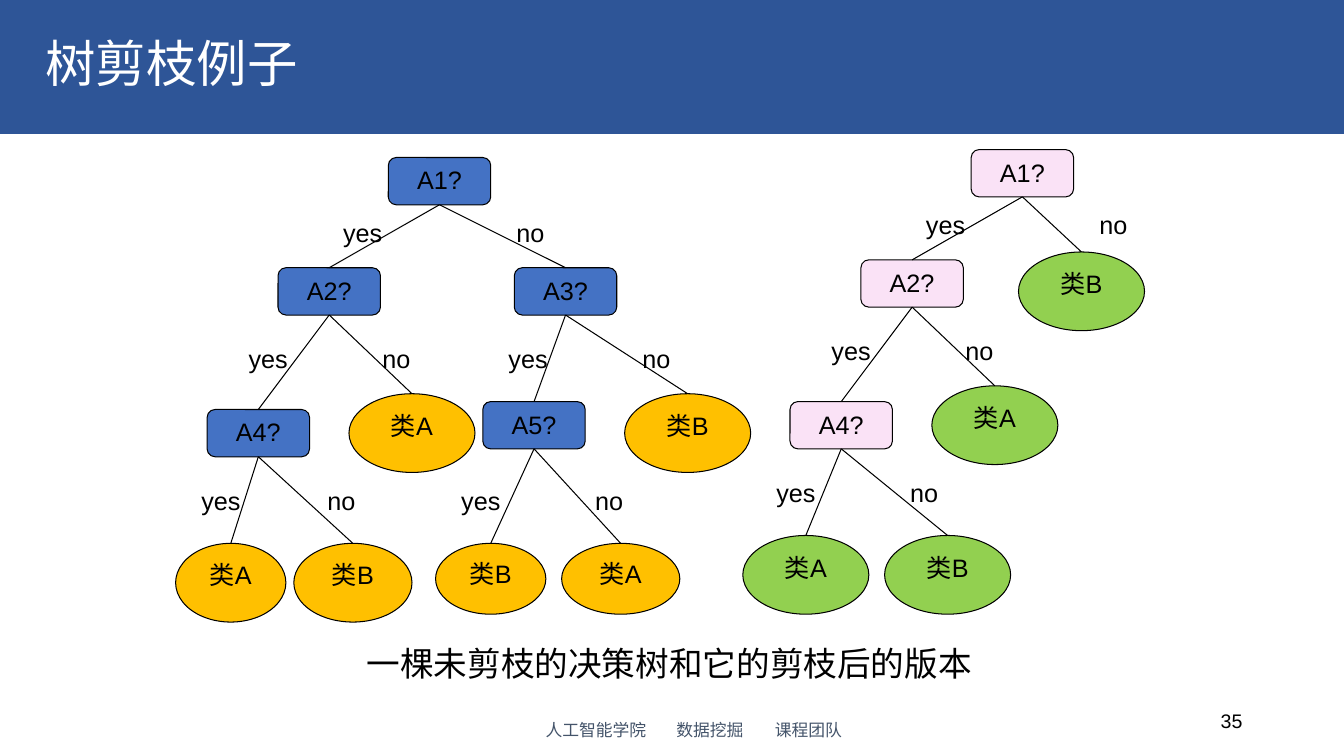
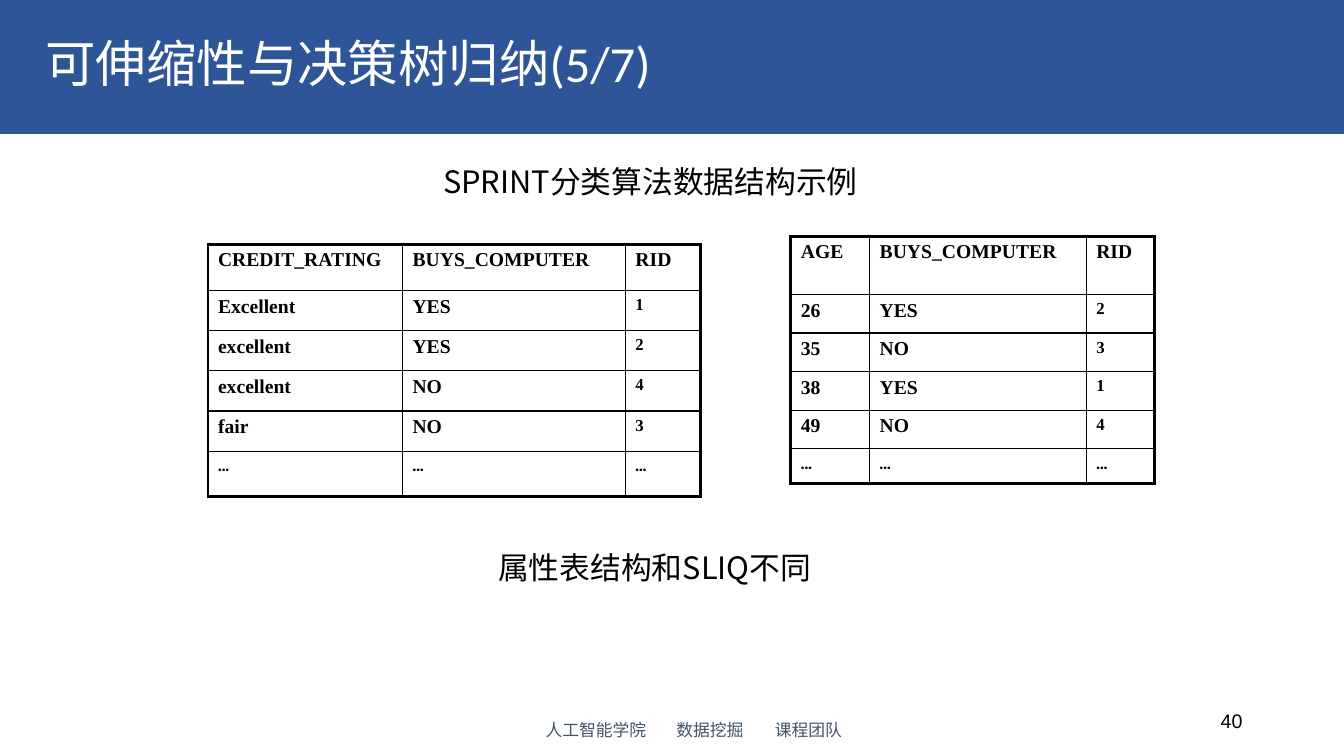
from collections import namedtuple

from lxml.etree import SubElement
from pptx import Presentation
from pptx.dml.color import RGBColor
from pptx.enum.shapes import MSO_CONNECTOR, MSO_SHAPE
from pptx.enum.text import MSO_ANCHOR, PP_ALIGN
from pptx.oxml.ns import qn
from pptx.util import Inches, Pt

BLACK = RGBColor(0x00, 0x00, 0x00)
WHITE = RGBColor(0xFF, 0xFF, 0xFF)
BAND_BLUE = RGBColor(0x2E, 0x55, 0x97)
NODE_BLUE = RGBColor(0x44, 0x72, 0xC4)
NODE_PINK = RGBColor(0xFA, 0xE2, 0xF6)
LEAF_ORANGE = RGBColor(0xFF, 0xC0, 0x00)
LEAF_GREEN = RGBColor(0x92, 0xD0, 0x50)
SLATE = RGBColor(0x44, 0x54, 0x6A)

SANS = "Arial"
HEADING = "Calibri"
CHINESE = "Noto Sans CJK SC"
SERIF = "Times New Roman"
ELLIPSIS_FONT = "Karla"

GRID_ROWS = 96
FOOTER = ("人工智能学院", "数据挖掘", "课程团队")
FOOTER_TABS = (16.6, 29.1)
LABEL_ROWS = (7, 23, 41)

Node = namedtuple("Node", "key text column row width height parent answer label_column")


class Deck:
    def __init__(self):
        self.presentation = Presentation()
        self.presentation.slide_width = Inches(13.33)
        self.presentation.slide_height = Inches(7.5)
        self.unit = self.presentation.slide_height / GRID_ROWS
        self.slide = None

    def grid(self, *lengths):
        return [round(length * self.unit) for length in lengths]

    def style(self, paragraph, size, font, color=BLACK, bold=False):
        paragraph.font.size = Pt(size)
        paragraph.font.name = font
        paragraph.font.color.rgb = color
        paragraph.font.bold = bold

    def new_slide(self, title, number):
        self.slide = self.presentation.slides.add_slide(self.presentation.slide_layouts[6])
        band = self.slide.shapes.add_shape(
            MSO_SHAPE.RECTANGLE, 0, 0, self.presentation.slide_width, *self.grid(17))
        band.shadow.inherit = False
        band.fill.solid()
        band.fill.fore_color.rgb = BAND_BLUE
        band.line.fill.background()
        heading = self.text(title, (4.5, 2, 145, 12.8), 36, HEADING, WHITE, middle=True)
        heading.line_spacing = 0.9
        page = self.text(number, (120.6, 89, 38.4, 5), 14, SANS, middle=True)
        page.alignment = PP_ALIGN.RIGHT
        self.text("\t".join(FOOTER), (68, 90.2, 45, 5), 12, HEADING, SLATE,
                  middle=True, tabs=FOOTER_TABS)

    def text(self, words, box, size, font, color=BLACK, middle=False, tabs=()):
        frame = self.slide.shapes.add_textbox(*self.grid(*box)).text_frame
        frame.word_wrap = True
        frame.vertical_anchor = MSO_ANCHOR.MIDDLE if middle else MSO_ANCHOR.TOP
        paragraph = frame.paragraphs[0]
        paragraph.text = words
        if tabs:
            properties = paragraph._p.get_or_add_pPr()
            tab_list = SubElement(properties, qn("a:tabLst"))
            for position in self.grid(*tabs):
                SubElement(tab_list, qn("a:tab"), pos=str(position), algn="l")
        self.style(paragraph, size, font, color)
        return paragraph

    def node(self, kind, words, box, fill):
        shape = self.slide.shapes.add_shape(kind, *self.grid(*box))
        shape.shadow.inherit = False
        shape.fill.solid()
        shape.fill.fore_color.rgb = fill
        shape.line.color.rgb = BLACK
        shape.line.width = Pt(0.75)
        shape.text_frame.vertical_anchor = MSO_ANCHOR.TOP
        paragraph = shape.text_frame.paragraphs[0]
        paragraph.text = words
        paragraph.alignment = PP_ALIGN.CENTER
        self.style(paragraph, 18, SANS)
        return shape

    def branch(self, parent, child):
        connector = self.slide.shapes.add_connector(MSO_CONNECTOR.STRAIGHT, 0, 0, 0, 0)
        bottom = 2 if parent.auto_shape_type == MSO_SHAPE.ROUNDED_RECTANGLE else 4
        connector.begin_connect(parent, bottom)
        connector.end_connect(child, 0)
        connector.line.color.rgb = BLACK
        connector.line.width = Pt(0.75)
        SubElement(connector.element.spPr, qn("a:effectLst"))

    def tree(self, left, top, nodes, question_fill, leaf_fill):
        shapes, depths = {}, {}
        for node in nodes:
            question = node.text.endswith("?")
            shape = self.node(
                MSO_SHAPE.ROUNDED_RECTANGLE if question else MSO_SHAPE.OVAL,
                node.text,
                (left + node.column, top + node.row, node.width, node.height),
                question_fill if question else leaf_fill)
            shapes[node.key] = shape
            depths[node.key] = depths.get(node.parent, -1) + 1
            if node.parent:
                self.branch(shapes[node.parent], shape)
                label_row = LABEL_ROWS[depths[node.parent]]
                self.text(node.answer, (left + node.label_column, top + label_row, 8, 5),
                          18, SANS)

    def border(self, cell, thick_sides):
        properties = cell._tc.get_or_add_tcPr()
        for side in "LRTB":
            width = Pt(2.25) if side in thick_sides else Pt(1)
            line = SubElement(properties, qn(f"a:ln{side}"), w=str(width))
            fill = SubElement(line, qn("a:solidFill"))
            SubElement(fill, qn("a:srgbClr"), val=str(BLACK))

    def table(self, left, top, widths, heights, records):
        box = self.grid(left, top, sum(widths), sum(heights))
        table = self.slide.shapes.add_table(len(heights), len(widths), *box).table
        table.first_row = table.horz_banding = False
        for column, width in zip(table.columns, self.grid(*widths)):
            column.width = width
        for row, height in zip(table.rows, self.grid(*heights)):
            row.height = height
        last_row, last_column = len(heights) - 1, len(widths) - 1
        for i, record in enumerate(records):
            for j, value in enumerate(record):
                cell = table.cell(i, j)
                outer = {"L": j == 0, "R": j == last_column, "T": i == 0, "B": i == last_row}
                self.border(cell, [side for side, thick in outer.items() if thick])
                cell.fill.background()
                paragraph = cell.text_frame.paragraphs[0]
                paragraph.text = value
                small = i > 0 and (j == last_column or i == last_row)
                font = ELLIPSIS_FONT if i == last_row else SERIF
                self.style(paragraph, 12 if small else 14, font, bold=True)


FULL_TREE = [
    Node("A1", "A1?", 27, 0, 13, 6, None, None, None),
    Node("A2", "A2?", 13, 14, 13, 6, "A1", "yes", 20),
    Node("A3", "A3?", 43, 14, 13, 6, "A1", "no", 42),
    Node("A4", "A4?", 4, 32, 13, 6, "A2", "yes", 8),
    Node("A2 no", "类A", 22, 30, 16, 10, "A2", "no", 25),
    Node("A5", "A5?", 39, 31, 13, 6, "A3", "yes", 41),
    Node("A3 no", "类B", 57, 30, 16, 10, "A3", "no", 58),
    Node("A4 yes", "类A", 0, 49, 14, 10, "A4", "yes", 2),
    Node("A4 no", "类B", 15, 49, 15, 10, "A4", "no", 18),
    Node("A5 yes", "类B", 33, 49, 14, 9, "A5", "yes", 35),
    Node("A5 no", "类A", 49, 49, 15, 9, "A5", "no", 52),
]

PRUNED_TREE = [
    Node("A1", "A1?", 29, 0, 13, 6, None, None, None),
    Node("A2", "A2?", 15, 14, 13, 6, "A1", "yes", 22),
    Node("A1 no", "类B", 35, 13, 16, 10, "A1", "no", 44),
    Node("A4", "A4?", 6, 32, 13, 6, "A2", "yes", 10),
    Node("A2 no", "类A", 24, 30, 16, 10, "A2", "no", 27),
    Node("A4 yes", "类A", 0, 49, 16, 10, "A4", "yes", 3),
    Node("A4 no", "类B", 18, 49, 16, 10, "A4", "no", 20),
]

CREDIT_RECORDS = [
    ("CREDIT_RATING", "BUYS_COMPUTER", "RID"),
    ("Excellent", "YES", "1"),
    ("excellent", "YES", "2"),
    ("excellent", "NO", "4"),
    ("fair", "NO", "3"),
    ("…",) * 3,
]

AGE_RECORDS = [
    ("AGE", "BUYS_COMPUTER", "RID"),
    ("26", "YES", "2"),
    ("35", "NO", "3"),
    ("38", "YES", "1"),
    ("49", "NO", "4"),
    ("…",) * 3,
]


def main():
    deck = Deck()

    deck.new_slide("树剪枝例子", "35")
    deck.tree(22.3, 20, FULL_TREE, NODE_BLUE, LEAF_ORANGE)
    deck.tree(94.3, 19, PRUNED_TREE, NODE_PINK, LEAF_GREEN)
    deck.text("一棵未剪枝的决策树和它的剪枝后的版本", (45.3, 81, 81, 6.5), 24, CHINESE)

    deck.new_slide("可伸缩性与决策树归纳(5/7)", "40")
    deck.table(26.4, 31, (24.7, 28.3, 9.5), (5.9, *[5.1] * 4, 5.8), CREDIT_RECORDS)
    deck.table(100.4, 30, (10, 27.5, 8.7), (7.4, *[4.9] * 4, 4.4), AGE_RECORDS)
    deck.text("SPRINT分类算法数据结构示例", (55, 20, 60.5, 6), 22, CHINESE)
    deck.text("属性表结构和SLIQ不同", (62, 69.1, 62.5, 6), 22, CHINESE)

    deck.presentation.save("out.pptx")


if __name__ == "__main__":
    main()
